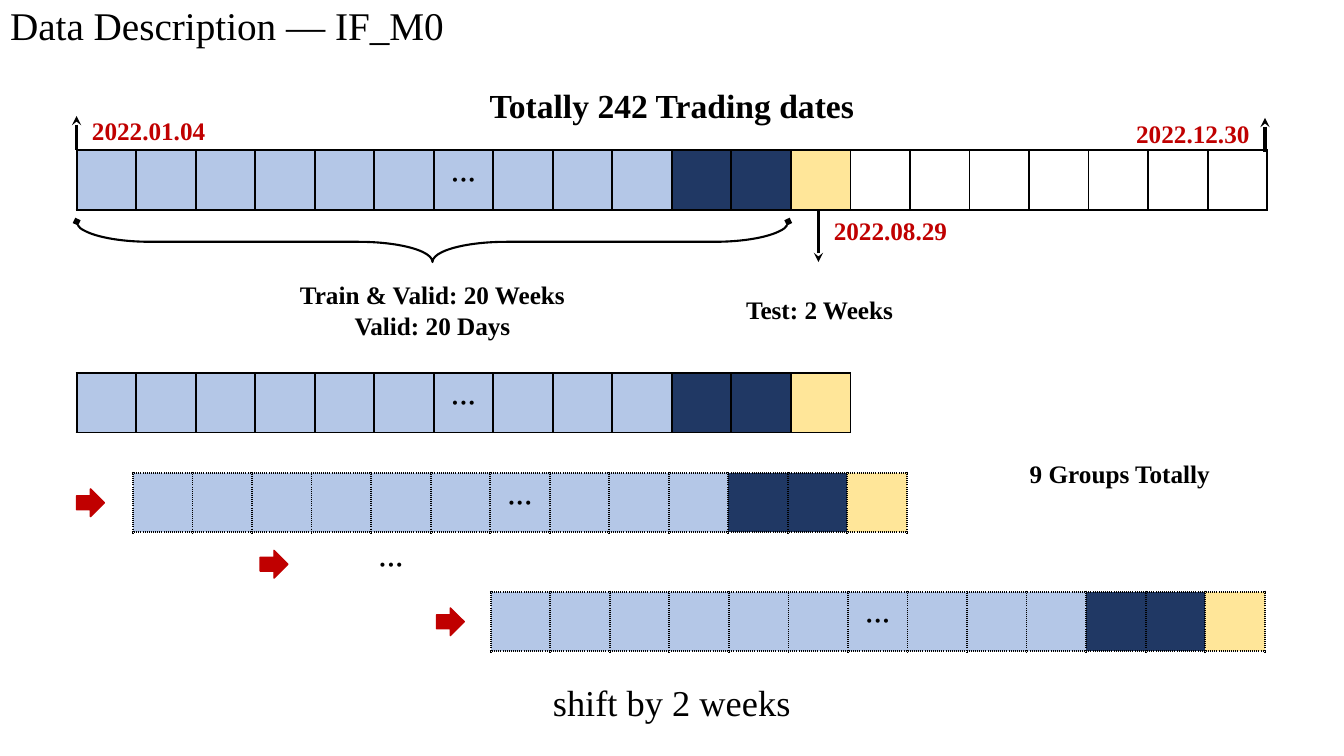
from lxml import etree
from pptx import Presentation
from pptx.dml.color import RGBColor
from pptx.enum.shapes import MSO_CONNECTOR, MSO_SHAPE
from pptx.enum.text import MSO_ANCHOR, MSO_AUTO_SIZE, PP_ALIGN
from pptx.oxml.ns import qn
from pptx.util import Pt

STRAIGHT = MSO_CONNECTOR.STRAIGHT
BRACE, ARROW = MSO_SHAPE.RIGHT_BRACE, MSO_SHAPE.RIGHT_ARROW
MIDDLE, TOP = MSO_ANCHOR.MIDDLE, MSO_ANCHOR.TOP
LEFT, CENTER = PP_ALIGN.LEFT, PP_ALIGN.CENTER
NO_FIT, GROW = MSO_AUTO_SIZE.NONE, MSO_AUTO_SIZE.SHAPE_TO_FIT_TEXT

COLORS = {
    "black": "000000",
    "date": "C00000",
    "train": "B4C7E7",
    "valid": "203864",
    "test": "FFE699",
}
FONT = "Times New Roman"
CELL = 42.52
DOTS = "···"
DOTS_CELL = 6
WINDOW = ["train"] * 10 + ["valid"] * 2 + ["test"]


def rgb(name):
    return RGBColor.from_string(COLORS[name])


def place(shape, x, y, w, h):
    shape.left, shape.top, shape.width, shape.height = Pt(x), Pt(y), Pt(w), Pt(h)


def write(tf, lines, size=18, color="black", bold=True, align=CENTER):
    for i, line in enumerate(lines):
        p = tf.paragraphs[0] if i == 0 else tf.add_paragraph()
        p.alignment = align
        r = p.add_run()
        r.text = line
        r.font.name = FONT
        r.font.size = Pt(size)
        r.font.bold = bold
        r.font.color.rgb = rgb(color)


def set_frame(tf, fit, anchor=MIDDLE):
    tf.word_wrap = True
    tf.auto_size = fit
    tf.vertical_anchor = anchor


def set_heading_spacing(tf):
    p = tf.paragraphs[0]
    p.line_spacing = 0.9
    p.space_before = Pt(10)


def add_title(s, text):
    title = s.shapes.title
    place(title, 0, 0, 353.5, 40.3)
    set_frame(title.text_frame, NO_FIT)
    write(title.text_frame, [text], size=28, bold=False, align=LEFT)
    set_heading_spacing(title.text_frame)


def add_label(s, x, y, w, h, *lines, anchor=MIDDLE, fit=GROW, **style):
    tf = s.shapes.add_textbox(Pt(x), Pt(y), Pt(w), Pt(h)).text_frame
    set_frame(tf, fit, anchor)
    write(tf, lines, **style)
    return tf


def set_borders(cell, dash):
    tc_pr = cell._tc.get_or_add_tcPr()
    for i, side in enumerate(("lnL", "lnR", "lnT", "lnB")):
        ln = etree.Element(qn(f"a:{side}"), w=str(Pt(1.5)))
        fill = etree.SubElement(ln, qn("a:solidFill"))
        etree.SubElement(fill, qn("a:srgbClr"), val=COLORS["black"])
        etree.SubElement(ln, qn("a:prstDash"), val=dash)
        tc_pr.insert(i, ln)


def add_timeline(s, x, y, dash="solid", unused=0):
    kinds = WINDOW + [None] * unused
    frame = s.shapes.add_table(1, len(kinds), Pt(x), Pt(y),
                               Pt(CELL * len(kinds)), Pt(CELL))
    table = frame.table
    table.first_row = table.horz_banding = False
    for i, kind in enumerate(kinds):
        table.columns[i].width = Pt(CELL)
        cell = table.cell(0, i)
        if kind:
            cell.fill.solid()
            cell.fill.fore_color.rgb = rgb(kind)
        else:
            cell.fill.background()
        set_borders(cell, dash)
    dots = table.cell(0, DOTS_CELL)
    dots.vertical_anchor = MIDDLE
    write(dots.text_frame, [DOTS])


def add_pointer(s, x, y_tip, y_base):
    c = s.shapes.add_connector(STRAIGHT, Pt(x), Pt(y_tip), Pt(x), Pt(y_base))
    c.line.color.rgb = rgb("black")
    c.line.width = Pt(2.25)
    etree.SubElement(c.line._get_or_add_ln(), qn("a:headEnd"), type="stealth")
    etree.SubElement(c._element.spPr, qn("a:effectLst"))


def add_brace(s, x, y, w, h):
    brace = s.shapes.add_shape(BRACE, Pt(x), Pt(y), Pt(w), Pt(h))
    brace.rotation = 90
    brace.adjustments[0] = 1.836
    brace.adjustments[1] = 0.5
    brace.shadow.inherit = False
    brace.fill.background()
    brace.line.color.rgb = rgb("black")
    brace.line.width = Pt(1.5)
    for end in ("headEnd", "tailEnd"):
        etree.SubElement(brace.line._get_or_add_ln(), qn(f"a:{end}"), type="diamond")


def add_shift_arrow(s, x, y):
    arrow = s.shapes.add_shape(ARROW, Pt(x), Pt(y), Pt(19.8), Pt(19.8))
    arrow.shadow.inherit = False
    arrow.fill.solid()
    arrow.fill.fore_color.rgb = rgb("date")
    arrow.line.color.rgb = rgb("date")
    arrow.line.width = Pt(1)


def main():
    prs = Presentation()
    prs.slide_width, prs.slide_height = Pt(960), Pt(540)
    s = prs.slides.add_slide(prs.slide_layouts[5])
    add_title(s, "Data Description — IF_M0")

    add_timeline(s, 54.7, 107.3, unused=7)
    add_timeline(s, 54.7, 266.4)
    add_timeline(s, 95, 337.7, "sysDot")
    add_timeline(s, 350.6, 422.6, "sysDot")

    for x, y_tip, y_base in ((54.7, 82.8, 107.3), (903.6, 84.2, 108.7),
                             (584.6, 187.2, 149.8)):
        add_pointer(s, x, y_tip, y_base)
    add_brace(s, 294.5, -81.4, 28.8, 508.3)
    for x, y in ((54.7, 349.2), (185.8, 393.1), (311.8, 434.2)):
        add_shift_arrow(s, x, y)

    for x, y, date in ((54.7, 78.5, "2022.01.04"), (584.6, 149.8, "2022.08.29"),
                       (800.6, 80.6, "2022.12.30")):
        add_label(s, x, y, 103, 29, date, color="date")
    add_label(s, 329, 56.9, 301.7, 36, "Totally 242 Trading dates", size=24)
    add_label(s, 205.2, 195.8, 207.4, 51, "Train & Valid: 20 Weeks", "Valid: 20 Days")
    add_label(s, 481.7, 206.6, 207.4, 29, "Test: 2 Weeks")
    add_label(s, 696.2, 323.3, 207.4, 29, "9 Groups Totally")
    add_label(s, 205.2, 388.1, 148.3, 29, DOTS, anchor=TOP)
    tf = add_label(s, 303.1, 483.1, 353.5, 40.3, "shift by 2 weeks",
                   fit=NO_FIT, size=26, bold=False)
    set_heading_spacing(tf)

    prs.save("out.pptx")


if __name__ == "__main__":
    main()
